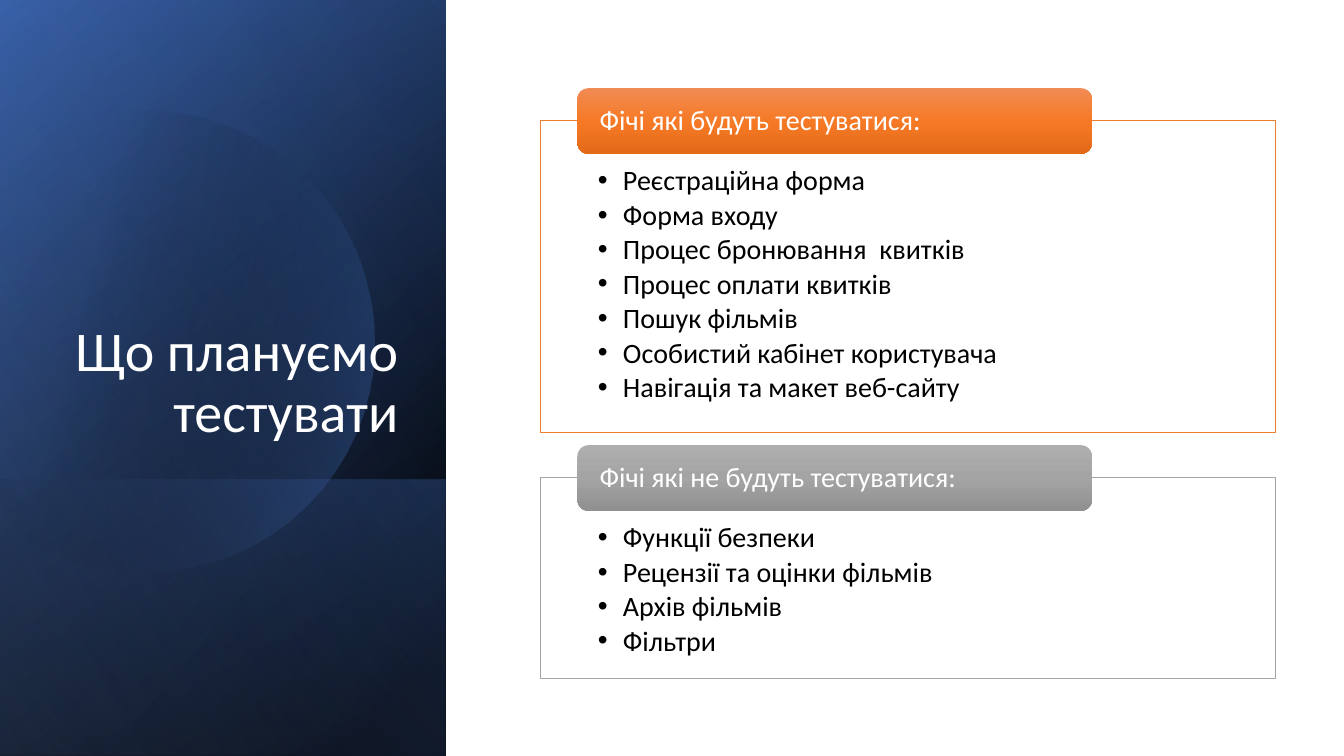
from lxml.etree import SubElement as Sub
from pptx import Presentation
from pptx.dml.color import RGBColor
from pptx.enum.shapes import MSO_SHAPE as Shape
from pptx.enum.text import MSO_ANCHOR as Anchor, PP_ALIGN as Align
from pptx.oxml.ns import qn
from pptx.util import Pt


def color(code):
    return RGBColor.from_string(code)


def bezier(start, first, second, end, steps=16):
    """Points along a cubic curve, without its start."""
    for step in range(1, steps + 1):
        t = step / steps
        weights = ((1 - t) ** 3, 3 * t * (1 - t) ** 2, 3 * t * t * (1 - t), t ** 3)
        yield tuple(sum(w * p[axis] for w, p in zip(weights, (start, first, second, end)))
                    for axis in (0, 1))


class Painter:
    font = "Calibri"

    def __init__(self, page):
        self.page = page

    def gradient(self, shape, stops, angle):
        """Fill with (position %, colour, opacity %) stops."""
        shape.shadow.inherit = False
        shape.line.fill.background()
        shape.fill.gradient()
        fill = shape.element.spPr.find(qn("a:gradFill"))
        for child in list(fill):
            fill.remove(child)
        fill.set("rotWithShape", "1")
        stop_list = Sub(fill, qn("a:gsLst"))
        for position, code, opacity in stops:
            stop = Sub(stop_list, qn("a:gs"), pos=str(position * 1000))
            tint = Sub(stop, qn("a:srgbClr"), val=code)
            if opacity < 100:
                Sub(tint, qn("a:alpha"), val=str(opacity * 1000))
        Sub(fill, qn("a:lin"), ang=str(angle * 60000), scaled="0")

    def turned_panel(self, x, y, w, h, stops, angle):
        """Rectangle seen at x, y, w, h, turned by 90 degrees and mirrored."""
        left, top = x + (w - h) / 2, y + (h - w) / 2
        panel = self.page.shapes.add_shape(Shape.RECTANGLE, Pt(left), Pt(top), Pt(h), Pt(w))
        panel.rotation = 90
        panel.element.spPr.find(qn("a:xfrm")).set("flipH", "1")
        self.gradient(panel, stops, angle)

    def outline(self, start, curves, stops, angle):
        """Closed outline; a curve with one point is a straight line."""
        points, last = [], start
        for curve in curves:
            points += bezier(last, *curve) if len(curve) == 3 else curve
            last = curve[-1]
        builder = self.page.shapes.build_freeform(Pt(start[0]), Pt(start[1]))
        builder.add_line_segments([(Pt(x), Pt(y)) for x, y in points], close=True)
        self.gradient(builder.convert_to_shape(), stops, angle)

    def box(self, x, y, w, h, kind=Shape.RECTANGLE):
        box = self.page.shapes.add_shape(kind, Pt(x), Pt(y), Pt(w), Pt(h))
        box.shadow.inherit = False
        return box

    def put_text(self, box, lines, insets, size=20, code="FFFFFF",
                 anchor=Anchor.MIDDLE, align=Align.LEFT, bullets=False):
        frame = box.text_frame
        left, top, right, bottom = map(Pt, insets)
        for name, value in {"word_wrap": True, "vertical_anchor": anchor,
                            "margin_left": left, "margin_top": top,
                            "margin_right": right, "margin_bottom": bottom}.items():
            setattr(frame, name, value)
        for index, line in enumerate(lines):
            para = frame.add_paragraph() if index else frame.paragraphs[0]
            para.alignment, para.line_spacing = align, 0.9
            para.space_before = Pt(3 if index else 0)
            if bullets:
                props = para._p.get_or_add_pPr()
                props.set("marL", str(Pt(18)))
                props.set("indent", str(-Pt(18)))
                Sub(props, qn("a:buFont"), typeface="Arial")
                Sub(props, qn("a:buChar"), char="•")
            span = para.add_run()
            span.text = line
            span.font.color.rgb = color(code)
            for name, value in {"name": self.font, "size": Pt(size)}.items():
                setattr(span.font, name, value)

    def section(self, y, h, heading, items, line_code, tab_codes):
        frame = self.box(386, y, 525, h)
        frame.fill.solid()
        frame.fill.fore_color.rgb = color("FFFFFF")
        frame.line.color.rgb = color(line_code)
        frame.line.width = Pt(0.75)
        self.put_text(frame, items, (41, 33, 41, 11.5), code="000000",
                      anchor=Anchor.TOP, bullets=True)
        tab = self.box(412.5, y - 23, 367.5, 46.8, Shape.ROUNDED_RECTANGLE)
        stops = [(position, code, 100) for position, code in zip((0, 50, 100), tab_codes)]
        self.gradient(tab, stops, 90)
        self.put_text(tab, [heading], (13.5, 0, 13.5, 0))


def main():
    deck = Presentation()
    deck.slide_width, deck.slide_height = Pt(960), Pt(540)
    page = deck.slides.add_slide(deck.slide_layouts[6])
    painter = Painter(page)

    # Blue side panel: layered gradients and a faint disc
    side = (0, 0, 318.5, 540)
    painter.turned_panel(*side, [(0, "000000", 100), (8, "000000", 100), (100, "2F5496", 100)], 50)
    painter.turned_panel(*side, [(0, "000000", 0), (99, "4472C4", 46), (100, "4472C4", 46)], 30)
    painter.turned_panel(0, 342.7, 318.5, 197.3,
                         [(0, "4472C4", 29), (2, "4472C4", 29), (100, "000000", 30)], 130)
    painter.outline((107, 79), [
        ((177, 81), (241, 127), (261, 198)),
        ((287, 286), (236, 377), (149, 402)),
        ((94, 418), (38, 404), (-2, 370)),
        ((-11, 362),), ((-11, 126),), ((0, 116),),
        ((17, 102), (36, 92), (58, 86)),
        ((74, 81), (91, 79), (107, 79)),
    ], [(0, "000000", 0), (29, "000000", 0), (100, "4472C4", 43)], 14)
    painter.turned_panel(*side, [(0, "000000", 0), (99, "8DA9DB", 11), (100, "8DA9DB", 11)], 120)

    # Title
    title = page.shapes.add_textbox(Pt(46), Pt(132.5), Pt(245.5), Pt(188.6))
    painter.put_text(title, ["Що плануємо тестувати"], (7.2, 3.6, 7.2, 3.6), size=40,
                     anchor=Anchor.BOTTOM, align=Align.RIGHT)

    # Feature lists, stacked with an equal gap
    sections = [
        (223, "Фічі які будуть тестуватися:",
         ["Реєстраційна форма", "Форма входу", "Процес бронювання  квитків",
          "Процес оплати квитків", "Пошук фільмів", "Особистий кабінет користувача",
          "Навігація та макет веб-сайту"],
         "ED7D31", ("F08B54", "F67A26", "E36A18")),
        (144, "Фічі які не будуть тестуватися:",
         ["Функції безпеки", "Рецензії та оцінки фільмів", "Архів фільмів", "Фільтри"],
         "A4A4A4", ("AEAEAE", "A4A4A4", "909090")),
    ]
    top = 86
    for height, *content in sections:
        painter.section(top, height, *content)
        top += height + 32

    deck.save("out.pptx")


if __name__ == "__main__":
    main()
